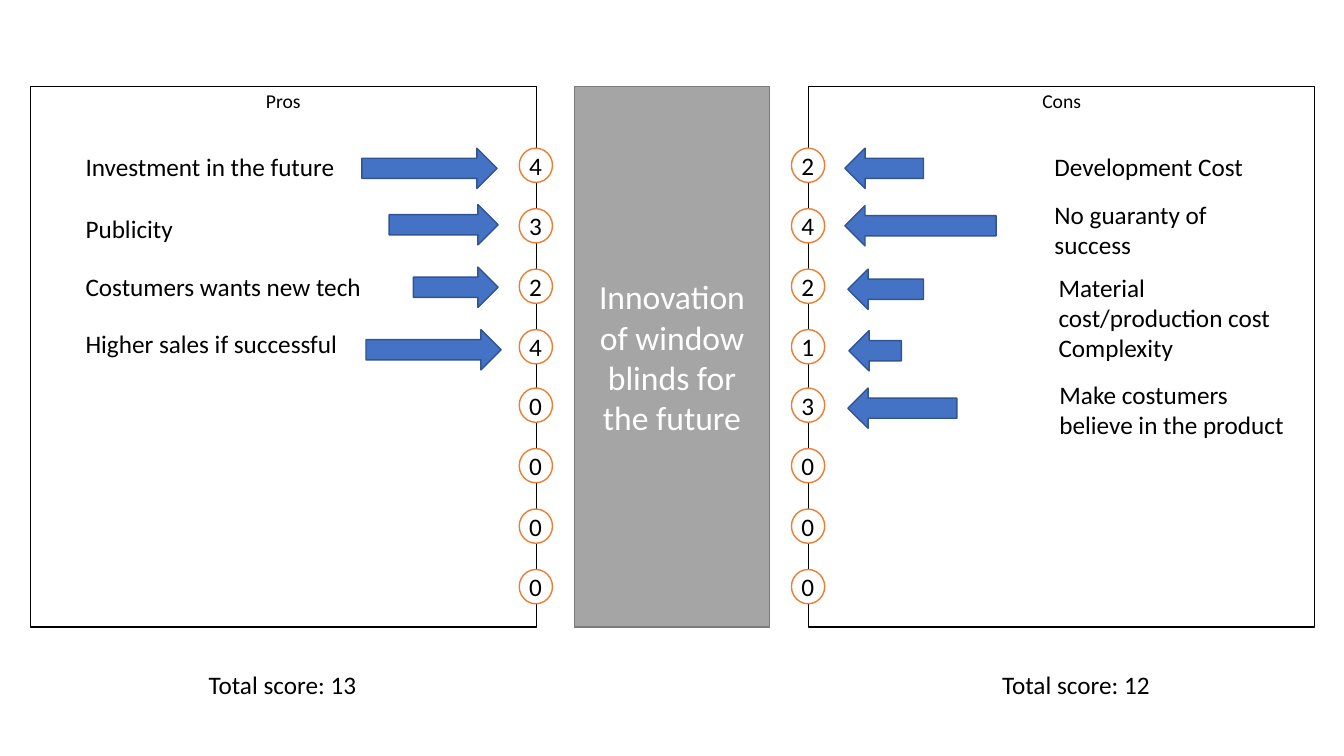
from pptx import Presentation
from pptx.dml.color import RGBColor
from pptx.enum.shapes import MSO_SHAPE
from pptx.enum.text import MSO_ANCHOR, MSO_AUTO_SIZE, PP_ALIGN
from pptx.util import Inches, Pt

RECTANGLE, OVAL = MSO_SHAPE.RECTANGLE, MSO_SHAPE.OVAL
RIGHT_ARROW, LEFT_ARROW = MSO_SHAPE.RIGHT_ARROW, MSO_SHAPE.LEFT_ARROW
TOP, MIDDLE = MSO_ANCHOR.TOP, MSO_ANCHOR.MIDDLE
LEFT, CENTER = PP_ALIGN.LEFT, PP_ALIGN.CENTER
FIXED, GROW = MSO_AUTO_SIZE.NONE, MSO_AUTO_SIZE.SHAPE_TO_FIT_TEXT

THEME = {
    "font": "Calibri",
    "heading": 14, "body": 18, "topic": 24,
    "ink": "000000", "paper": "FFFFFF",
    "grey": "A5A5A5", "grey_edge": "7A7A7A",
    "orange": "ED7D31", "blue": "4472C4", "blue_edge": "325491",
}

PANEL_TOP, PANEL_WIDTH, PANEL_HEIGHT = 0.86, 5.02, 5.36
ARROW_HEIGHT = 0.4
SCORE_TOPS = [start + 0.6 * step for start in (1.47, 3.85) for step in range(4)]

presentation = Presentation()
presentation.slide_width = Inches(13.33)
presentation.slide_height = Inches(7.5)
slide = presentation.slides.add_slide(presentation.slide_layouts[0])
title, cons_panel = slide.placeholders
title.element.getparent().remove(title.element)


def paint(shape, fill, line):
    shape.fill.solid()
    shape.fill.fore_color.rgb = RGBColor.from_string(THEME[fill])
    shape.line.color.rgb = RGBColor.from_string(THEME[line])
    shape.line.width = Pt(1)


def write(shape, text, size="body", color="ink", frame_format=None, paragraph_format=None):
    frame = shape.text_frame
    frame.text = text
    paragraph = frame.paragraphs[0]
    font = paragraph.runs[0].font
    font.name = THEME["font"]
    font.size = Pt(THEME[size])
    font.color.rgb = RGBColor.from_string(THEME[color])
    for target, values in ((frame, frame_format), (paragraph, paragraph_format)):
        for attribute, value in (values or {}).items():
            setattr(target, attribute, value)


heading_frame = {"vertical_anchor": TOP, "auto_size": FIXED, "word_wrap": True}
heading_paragraph = {"alignment": CENTER, "line_spacing": 0.9, "space_before": Pt(10)}
topic_frame = {"vertical_anchor": MIDDLE, "word_wrap": True}
single_line = {"auto_size": GROW, "word_wrap": False}
wrapped = {"auto_size": GROW, "word_wrap": True}
flush_left = {"alignment": LEFT}

cons_panel.left, cons_panel.top = Inches(8.02), Inches(PANEL_TOP)
cons_panel.width, cons_panel.height = Inches(PANEL_WIDTH), Inches(PANEL_HEIGHT)
pros_panel = slide.shapes.add_shape(
    RECTANGLE, Inches(0.3), Inches(PANEL_TOP), Inches(PANEL_WIDTH), Inches(PANEL_HEIGHT))
pros_panel.shadow.inherit = False
for panel, heading in ((cons_panel, "Cons"), (pros_panel, "Pros")):
    paint(panel, "paper", "ink")
    write(panel, heading, "heading", "ink", heading_frame, heading_paragraph)

topic = slide.shapes.add_shape(
    RECTANGLE, Inches(5.7), Inches(PANEL_TOP), Inches(1.93), Inches(PANEL_HEIGHT))
topic.shadow.inherit = False
paint(topic, "grey", "grey_edge")
write(topic, "Innovation of window blinds for the future", "topic", "paper",
      topic_frame, {"alignment": CENTER})

sides = [
    {
        "scores": [4, 3, 2, 4, 0, 0, 0, 0], "score_left": 5.15,
        "total_left": 1.97, "arrow": RIGHT_ARROW, "label_frame": single_line,
        "arguments": [
            ("Investment in the future", (0.75, 1.45, 2.7, 0.4), (3.59, 1.47, 1.34)),
            ("Publicity", (0.75, 2.07, 1.08, 0.4), (3.86, 2.03, 1.08)),
            ("Costumers wants new tech", (0.75, 2.64, 2.96, 0.4), (4.1, 2.65, 0.84)),
            ("Higher sales if successful", (0.75, 3.21, 2.73, 0.4), (3.63, 3.27, 1.34)),
        ],
    },
    {
        "scores": [2, 4, 2, 1, 3, 0, 0, 0], "score_left": 7.85,
        "total_left": 9.84, "arrow": LEFT_ARROW, "label_frame": wrapped,
        "arguments": [
            ("Development Cost", (10.36, 1.45, 2.51, 0.4), (8.38, 1.47, 0.78)),
            ("No guaranty of success", (10.36, 1.93, 2.42, 0.71), (8.38, 2.04, 1.5)),
            ("Material cost/production cost", (10.4, 2.65, 2.42, 0.71), (8.41, 2.67, 0.75)),
            ("Complexity", (10.4, 3.25, 2.42, 0.4), (8.42, 3.28, 0.52)),
            ("Make costumers believe in the product", (10.41, 3.71, 2.64, 0.71),
             (8.41, 3.85, 1.08)),
        ],
    },
]

for side in sides:
    score_left = Inches(side["score_left"])
    for score, score_top in zip(side["scores"], SCORE_TOPS):
        circle = slide.shapes.add_shape(
            OVAL, score_left, Inches(score_top), Inches(0.33), Inches(0.34))
        circle.shadow.inherit = False
        paint(circle, "paper", "orange")
        number = slide.shapes.add_textbox(
            score_left, Inches(score_top - 0.03), Inches(0.33), Inches(0.4))
        write(number, str(score), frame_format=single_line, paragraph_format=flush_left)

    for argument, label_box, (arrow_left, arrow_top, arrow_length) in side["arguments"]:
        label = slide.shapes.add_textbox(*map(Inches, label_box))
        write(label, argument, frame_format=side["label_frame"], paragraph_format=flush_left)
        arrow = slide.shapes.add_shape(
            side["arrow"], Inches(arrow_left), Inches(arrow_top),
            Inches(arrow_length), Inches(ARROW_HEIGHT))
        arrow.shadow.inherit = False
        paint(arrow, "blue", "blue_edge")

    total = slide.shapes.add_textbox(
        Inches(side["total_left"]), Inches(6.59), Inches(1.68), Inches(0.4))
    write(total, f"Total score: {sum(side['scores'])}",
          frame_format=single_line, paragraph_format=flush_left)

presentation.save("out.pptx")
